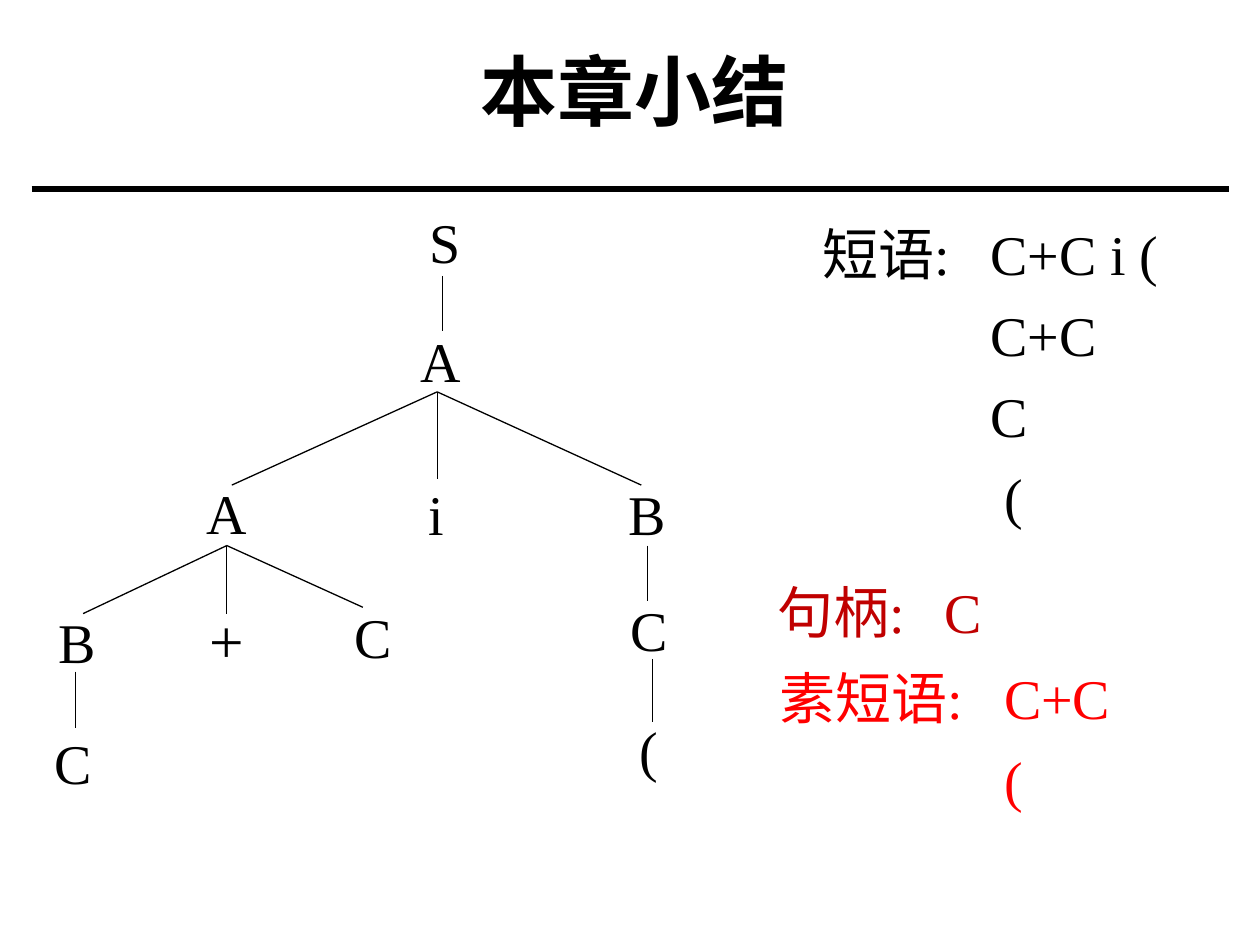
from typing import NamedTuple, Optional

import pptx
import pptx.dml.color
import pptx.enum.shapes
import pptx.enum.text
import pptx.oxml.ns
import pptx.util
from pptx.util import Inches

BLACK, DARK_RED, RED = "000000", "C00000", "FF0000"
SERIF, SANS = "Times New Roman", "Noto Sans CJK SC"
ALIGN = pptx.enum.text.PP_ALIGN
NODE_H = 0.64


class Node(NamedTuple):
    text: str
    x: float  # centre
    y: float  # top
    size: float = 32


class Edge(NamedTuple):
    x1: float
    y1: float
    x2: float
    y2: float


class Note(NamedTuple):
    x: float
    y: float
    w: float
    h: float
    color: str
    label: str
    items: tuple
    hang: float  # where the items start
    extra: float = 0  # further indent of the last item
    line: Optional[float] = None


NODES = [
    Node("S", 3.53, 1.6),
    Node("A", 3.5, 2.54),
    Node("A", 1.8, 3.75),
    Node("i", 3.46, 3.76),
    Node("B", 5.14, 3.76),
    Node("B", 0.61, 4.77),
    Node("+", 1.8, 4.73, 35),
    Node("C", 2.96, 4.73),
    Node("C", 5.15, 4.68),
    Node("C", 0.58, 5.73),
    Node("(", 5.15, 5.63),
]

EDGES = [
    Edge(3.51, 2.19, 3.51, 2.63),
    Edge(3.47, 3.11, 3.47, 3.8),
    Edge(3.47, 3.11, 1.84, 3.85),
    Edge(3.47, 3.11, 5.09, 3.85),
    Edge(1.8, 4.33, 1.8, 4.87),
    Edge(1.8, 4.33, 0.66, 4.87),
    Edge(1.8, 4.33, 2.88, 4.82),
    Edge(5.14, 4.33, 5.14, 4.77),
    Edge(0.6, 5.33, 0.6, 5.78),
    Edge(5.18, 5.23, 5.18, 5.73),
]

NOTES = [
    Note(6.43, 1.69, 2.91, 2.57, BLACK, "短语:", ("C+C i (", "C+C", "C", "("), 1.33, 0.11),
    Note(6.07, 4.48, 2.7, 0.69, DARK_RED, "句柄:", ("C",), 1.33, line=1.1),
    Note(6.09, 5.22, 3.58, 1.28, RED, "素短语:", ("C+C", "("), 1.78),
]


def rgb(color: str) -> pptx.dml.color.RGBColor:
    return pptx.dml.color.RGBColor.from_string(color)


def add_run(p, text: str, size: float, color: str = BLACK, font: str = SERIF, bold: bool = False) -> None:
    r = p.add_run()
    r.text = text
    r.font.size = pptx.util.Pt(size)
    r.font.name = font
    r.font.bold = bold
    r.font.color.rgb = rgb(color)
    ea = r._r.get_or_add_rPr().makeelement(pptx.oxml.ns.qn("a:ea"), {"typeface": SANS})
    r._r.rPr.find(pptx.oxml.ns.qn("a:latin")).addnext(ea)


def add_box(s, x: float, y: float, w: float, h: float):
    tf = s.shapes.add_textbox(Inches(x), Inches(y), Inches(w), Inches(h)).text_frame
    tf.word_wrap = True
    return tf


def add_node(s, node: Node) -> None:
    w = 1.24
    p = add_box(s, node.x - w / 2, node.y, w, NODE_H).paragraphs[0]
    p.alignment = ALIGN.CENTER
    add_run(p, node.text, node.size)


def add_line(s, edge: Edge, width: float = 0.75) -> None:
    ends = [Inches(v) for v in edge]
    sp = s.shapes.add_connector(pptx.enum.shapes.MSO_CONNECTOR.STRAIGHT, *ends)
    sp.line.color.rgb = rgb(BLACK)
    sp.line.width = pptx.util.Pt(width)
    spPr = sp._element.spPr
    spPr.append(spPr.makeelement(pptx.oxml.ns.qn("a:effectLst"), {}))


def add_note(s, note: Note) -> None:
    tf = add_box(s, note.x, note.y, note.w, note.h)
    for i, item in enumerate(note.items):
        p = tf.add_paragraph() if i else tf.paragraphs[0]
        last = i == len(note.items) - 1
        left = Inches(note.hang + (note.extra if last else 0))
        pPr = p._p.get_or_add_pPr()
        pPr.set("marL", str(left))
        # The label hangs left of the items
        pPr.set("indent", str(0 if i else -left))
        if note.line:
            p.line_spacing = note.line
        if i:
            p.space_before = pptx.util.Pt(8)
        add_run(p, item if i else f"{note.label}\t{item}", 32, note.color)


def main() -> None:
    prs = pptx.Presentation()
    prs.slide_width, prs.slide_height = Inches(10), Inches(7.5)
    s = prs.slides.add_slide(prs.slide_layouts[5])

    # Title and rule
    title = s.shapes.title
    title.left, title.top, title.width, title.height = map(Inches, (1.33, 0.25, 7.42, 0.92))
    tf = title.text_frame
    tf.vertical_anchor = pptx.enum.text.MSO_ANCHOR.MIDDLE
    p = tf.paragraphs[0]
    p.alignment = ALIGN.CENTER
    add_run(p, "本章小结", 44, font=SANS, bold=True)
    add_line(s, Edge(0.25, 1.5, 9.75, 1.5), 3)

    # Syntax tree
    for edge in EDGES:
        add_line(s, edge)
    for node in NODES:
        add_node(s, node)

    # Phrases, handle and prime phrases
    for note in NOTES:
        add_note(s, note)

    prs.save("out.pptx")


if __name__ == "__main__":
    main()
